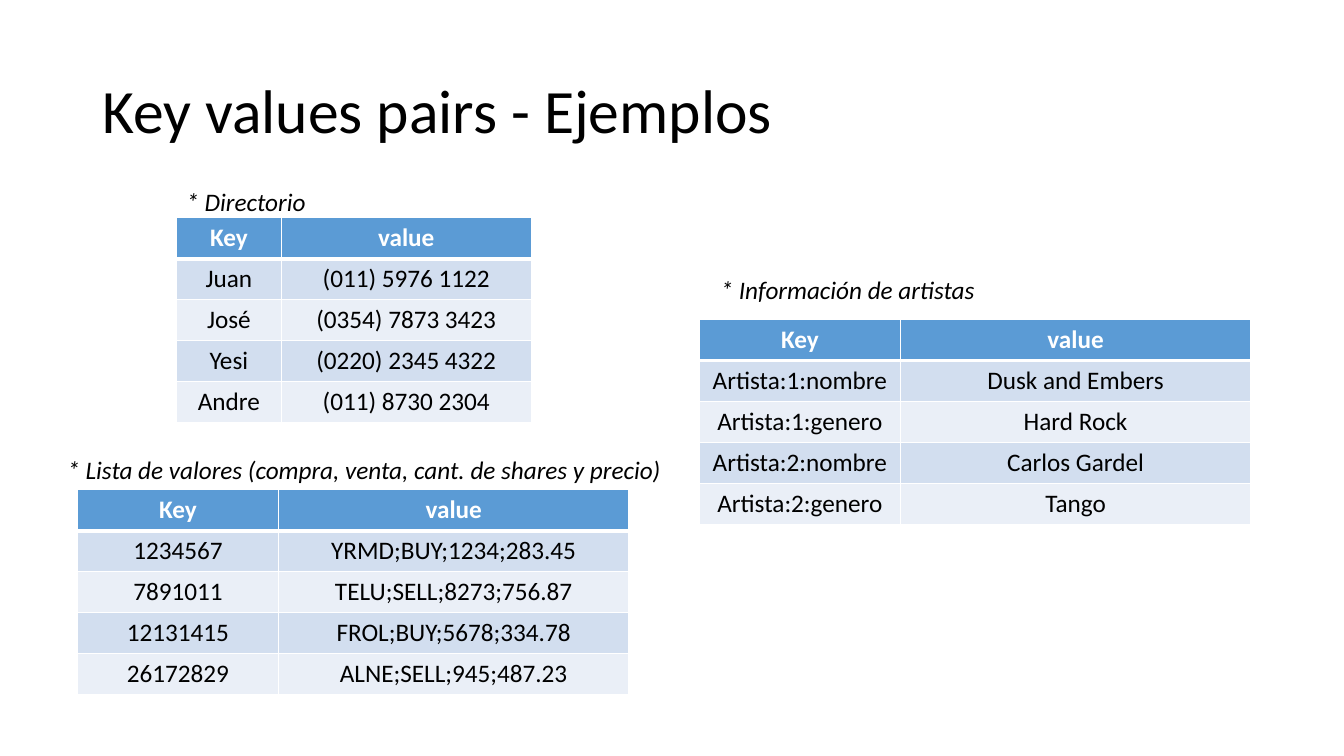
from dataclasses import dataclass

from lxml.etree import SubElement
from pptx import Presentation
from pptx.dml.color import RGBColor
from pptx.enum.text import MSO_ANCHOR as Anchor, PP_ALIGN as Align
from pptx.oxml.ns import qn
from pptx.util import Inches, Pt

FONT = "Calibri"
BLACK, WHITE, HEADER = "000000", "FFFFFF", "5B9BD5"
BANDS = ("D2DEEF", "EAEFF7")
ROW_HEIGHT = 5.42
CAPTION_HEIGHT = 5.39


@dataclass
class Label:
    """A line of text; lengths are percentages of the slide's size."""
    text: str
    left: float
    top: float
    width: float
    height: float = CAPTION_HEIGHT
    size: int = 18
    italic: bool = True


@dataclass
class PairTable:
    """Key-value pairs; lengths are percentages of the slide's size."""
    left: float
    top: float
    columns: tuple[float, float]
    pairs: list[tuple[str, str]]


TITLE = Label("Key values pairs - Ejemplos", 6.88, 5.33, 86.25, 19.33, 44, False)
CAPTIONS = [
    Label("* Directorio", 13.13, 24, 14.25),
    Label("* Información de artistas", 52.88, 35.6, 24.08),
    Label("* Lista de valores (compra, venta, cant. de shares y precio)",
          4.28, 59.47, 46.28),
]
WIDE_COLUMNS = (14.93, 26.1)
TABLES = [
    PairTable(13.13, 28.8, (7.8, 18.6), [
        ("Juan", "(011) 5976 1122"),
        ("José", "(0354) 7873 3423"),
        ("Yesi", "(0220) 2345 4322"),
        ("Andre", "(011) 8730 2304"),
    ]),
    PairTable(52.05, 42.27, WIDE_COLUMNS, [
        ("Artista:1:nombre", "Dusk and Embers"),
        ("Artista:1:genero", "Hard Rock"),
        ("Artista:2:nombre", "Carlos Gardel"),
        ("Artista:2:genero", "Tango"),
    ]),
    PairTable(5.78, 64.8, WIDE_COLUMNS, [
        ("1234567", "YRMD;BUY;1234;283.45"),
        ("7891011", "TELU;SELL;8273;756.87"),
        ("12131415", "FROL;BUY;5678;334.78"),
        ("26172829", "ALNE;SELL;945;487.23"),
    ]),
]

deck = Presentation()
deck.slide_width, deck.slide_height = Inches(13.33), Inches(7.5)
page = deck.slides.add_slide(deck.slide_layouts[6])


def across(share: float) -> int:
    return round(deck.slide_width * share / 100)


def down(share: float) -> int:
    return round(deck.slide_height * share / 100)


def color(value: str) -> RGBColor:
    return RGBColor.from_string(value)


def format_para(para, size: int, ink: str, bold=False, italic=False) -> None:
    for span in para.runs:
        span.font.name, span.font.size = FONT, Pt(size)
        span.font.bold, span.font.italic = bold, italic
        span.font.color.rgb = color(ink)


def add_label(label: Label):
    box = page.shapes.add_textbox(across(label.left), down(label.top),
                                  across(label.width), down(label.height))
    frame = box.text_frame
    frame.word_wrap = True
    frame.text = label.text
    format_para(frame.paragraphs[0], label.size, BLACK, italic=label.italic)
    return frame


def add_borders(cell, header: bool) -> None:
    """Draw white edges; the header's thick bottom edge also tops the body."""
    edges = {"lnL": 1, "lnR": 1, "lnT": 1, "lnB": 3 if header else 1}
    if not header:
        del edges["lnT"]
    properties = cell._tc.get_or_add_tcPr()
    for edge, width in edges.items():
        line = SubElement(properties, qn(f"a:{edge}"), w=str(Pt(width)))
        fill = SubElement(line, qn("a:solidFill"))
        SubElement(fill, qn("a:srgbClr"), val=WHITE)


def add_pair_table(content: PairTable) -> None:
    rows = [("Key", "value"), *content.pairs]
    table = page.shapes.add_table(
        len(rows), len(content.columns), across(content.left), down(content.top),
        across(sum(content.columns)), down(ROW_HEIGHT * len(rows))).table
    for column, width in zip(table.columns, content.columns):
        column.width = across(width)
    for row_index, pair in enumerate(rows):
        header = row_index == 0
        table.rows[row_index].height = down(ROW_HEIGHT)
        for column_index, text in enumerate(pair):
            cell = table.cell(row_index, column_index)
            add_borders(cell, header)
            cell.fill.solid()
            cell.fill.fore_color.rgb = color(
                HEADER if header else BANDS[(row_index - 1) % 2])
            cell.text_frame.text = text
            para = cell.text_frame.paragraphs[0]
            para.alignment = Align.CENTER
            format_para(para, 18, WHITE if header else BLACK, bold=header)


def main() -> None:
    title = add_label(TITLE)
    title.vertical_anchor = Anchor.MIDDLE
    title.paragraphs[0].line_spacing = 0.9
    for content in TABLES:
        add_pair_table(content)
    for caption in CAPTIONS:
        add_label(caption)
    deck.save("out.pptx")


if __name__ == "__main__":
    main()
